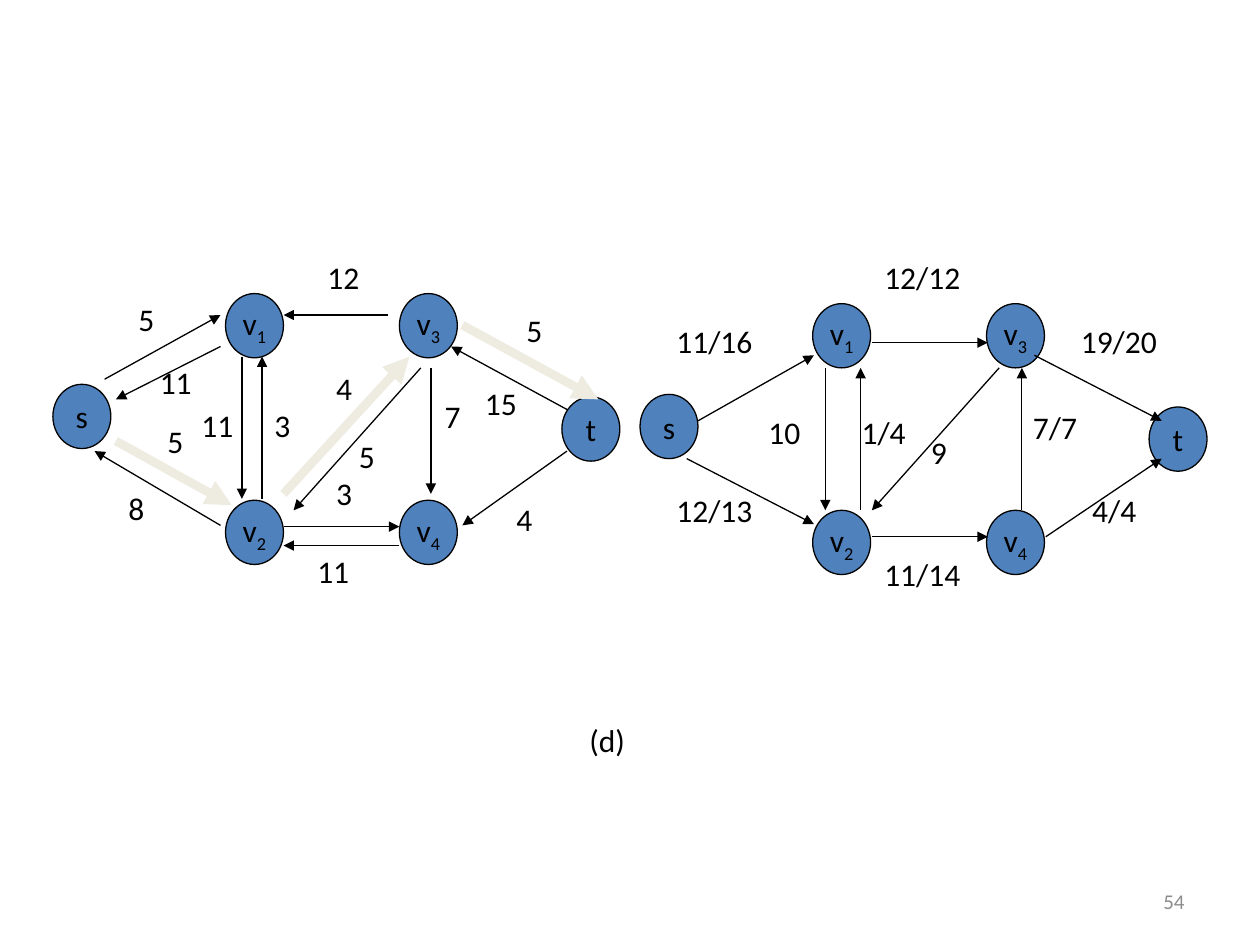
from lxml import etree
from pptx import Presentation, util as u
from pptx.dml.color import RGBColor
from pptx.enum import shapes, text
from pptx.oxml.ns import qn

BLACK, BLUE, CREAM, GRAY = "000000", "4F81BD", "EEECE1", "8C8C8C"
NODE_WIDTH, NODE_HEIGHT = 0.46, 0.51
LABEL_HEIGHT = 0.5
LABEL_WIDTHS = {1: 0.37, 2: 0.53, 3: 0.63, 5: 0.96}
COLUMNS = (0, 1.37, 2.75, 4.04)
ROWS = (0, 0.72, 0.82, 1.64)
NODES = [("s", "", 0, 1), ("v", "2", 1, 3), ("v", "4", 2, 3),
         ("t", "", 3, 2), ("v", "3", 2, 0), ("v", "1", 1, 0)]

RESIDUAL_EDGES = [
    (0.83, 3.01, 1.75, 2.5), (2.25, 4.18, 3.17, 4.18),
    (1.92, 2.83, 1.92, 3.96), (2.08, 3.96, 2.08, 2.83),
    (3.34, 2.92, 2.33, 4.05), (1.75, 2.75, 0.92, 3.17),
    (3.08, 2.5, 2.25, 2.5), (3.17, 4.33, 2.25, 4.33),
    (3.42, 2.92, 3.42, 3.92), (4.5, 3.58, 3.67, 4.17),
    (4.5, 3.25, 3.58, 2.75), (1.75, 4.17, 0.75, 3.58)]
AUGMENTING_PATH = [
    (0.92, 3.5, 1.84, 4.01), (2.25, 3.92, 3.25, 2.83),
    (3.67, 2.58, 4.75, 3.17)]
RESIDUAL_LABELS = [
    ("5", 2.75, 3.42), ("5", 1, 2.33), ("8", 0.92, 3.83),
    ("11", 1.5, 3.17), ("3", 2.08, 3.17), ("4", 4, 3.92),
    ("7", 3.43, 3.1), ("11", 2.42, 4.33), ("11", 1.17, 2.83),
    ("12", 2.5, 2), ("4", 2.57, 2.88), ("3", 2.57, 3.71),
    ("5", 4.08, 2.42), ("15", 3.75, 3), ("5", 1.23, 3.3)]

FLOW_EDGES = [
    (5.54, 3.34, 6.46, 2.82), (6.92, 2.72, 7.84, 2.72),
    (8.21, 2.82, 9.22, 3.34), (5.45, 3.64, 6.46, 4.16),
    (6.92, 4.26, 7.84, 4.26), (8.3, 4.26, 9.22, 3.64),
    (6.55, 2.92, 6.55, 4.05), (6.83, 4.05, 6.83, 2.92),
    (8.11, 4.05, 8.11, 2.92), (7.93, 2.92, 6.92, 4.05)]
FLOW_LABELS = [
    ("9", 7.29, 3.39), ("11/16", 5.27, 2.51), ("12/13", 5.27, 3.85),
    ("12/12", 6.92, 2), ("10", 6, 3.23), ("1/4", 6.74, 3.23),
    ("19/20", 8.48, 2.51), ("4/4", 8.57, 3.85), ("7/7", 8.1, 3.19),
    ("11/14", 6.92, 4.36)]


def color(value):
    """Turn a hex string into a colour."""
    return RGBColor.from_string(value)


def inches(*lengths):
    """Turn numbers into lengths in inches."""
    return [u.Inches(length) for length in lengths]


def write(frame, words, subscript="", size=18, ink=BLACK,
          align=text.PP_ALIGN.LEFT, anchor=text.MSO_ANCHOR.TOP, wrap=True):
    """Write one paragraph with an optional subscript."""
    frame.word_wrap = wrap
    frame.vertical_anchor = anchor
    para = frame.paragraphs[0]
    para.alignment = align
    for part in filter(None, (words, subscript)):
        span = para.add_run()
        span.text = part
        span.font.name = "Calibri"
        span.font.size = u.Pt(size)
        span.font.color.rgb = color(ink)
    if subscript:
        span.font._element.set("baseline", "-25000")


def add_label(parent, words, left, top, width=None, height=LABEL_HEIGHT, **style):
    """Add a text box, sized by its number of characters unless told."""
    width = width or LABEL_WIDTHS[len(words)]
    box = parent.shapes.add_textbox(*inches(left, top, width, height))
    write(box.text_frame, words, **style)


def add_node(parent, name, subscript, left, top):
    """Add a round vertex with its name."""
    node = parent.shapes.add_shape(
        shapes.MSO_SHAPE.OVAL, *inches(left, top, NODE_WIDTH, NODE_HEIGHT))
    node.shadow.inherit = False
    node.fill.solid()
    node.fill.fore_color.rgb = color(BLUE)
    node.line.color.rgb = color(BLACK)
    node.line.width = u.Pt(0.75)
    write(node.text_frame, name, subscript, align=text.PP_ALIGN.CENTER,
          anchor=text.MSO_ANCHOR.MIDDLE, wrap=False)


def add_edge(parent, ends, ink=BLACK, weight=0.75):
    """Add an arrow between two points."""
    edge = parent.shapes.add_connector(
        shapes.MSO_CONNECTOR.STRAIGHT, *inches(*ends))
    edge.line.color.rgb = color(ink)
    edge.line.width = u.Pt(weight)
    etree.SubElement(edge.line._get_or_add_ln(), qn("a:tailEnd"), type="triangle")
    etree.SubElement(edge._element.spPr, qn("a:effectLst"))


def add_graph(page, left, top, edges, labels, highlighted=()):
    """Add a grouped flow network with its vertices, arrows and labels."""
    graph = page.shapes.add_group_shape()
    for name, subscript, column, row in NODES:
        add_node(graph, name, subscript, left + COLUMNS[column], top + ROWS[row])
    for ends in highlighted:
        add_edge(graph, ends, ink=CREAM, weight=5)
    for ends in edges:
        add_edge(graph, ends)
    for label in labels:
        add_label(graph, *label)


def main():
    """Build the slide and save it."""
    deck = Presentation()
    deck.slide_width, deck.slide_height = inches(10, 7.5)
    page = deck.slides.add_slide(deck.slide_layouts[6])
    add_label(page, "54", 7.17, 6.95, 2.33, 0.4, size=12, ink=GRAY,
              align=text.PP_ALIGN.RIGHT, anchor=text.MSO_ANCHOR.MIDDLE)
    add_graph(page, 0.42, 2.33, RESIDUAL_EDGES, RESIDUAL_LABELS, AUGMENTING_PATH)
    add_graph(page, 5.08, 2.41, FLOW_EDGES, FLOW_LABELS)
    add_label(page, "(d)", 4.58, 5.67)
    deck.save("out.pptx")


if __name__ == "__main__":
    main()
